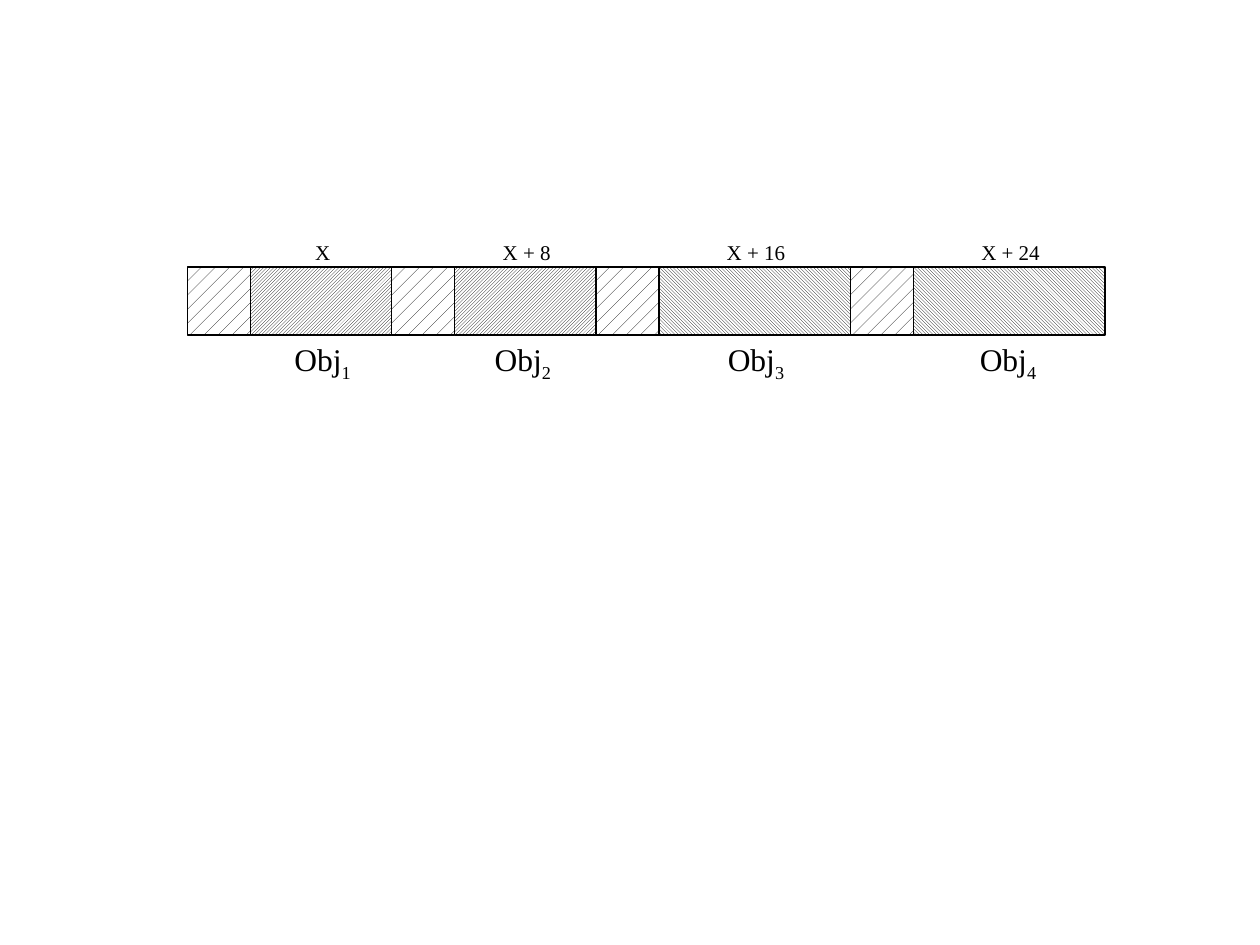
from pptx import Presentation
from pptx.dml.color import RGBColor
from pptx.enum.dml import MSO_PATTERN as PATTERN
from pptx.enum.shapes import MSO_SHAPE as SHAPE
from pptx.enum.text import MSO_AUTO_SIZE as AUTO, PP_ALIGN as ALIGN
from pptx.util import Inches, Pt

BLACK = RGBColor(0, 0, 0)
WHITE = RGBColor(255, 255, 255)
FONT = "Times New Roman"

LEFT, TOP, HEIGHT = 1.49, 2.12, 0.54
HEADER_W = 0.5
ADDRESS_TOP, NAME_TOP = 1.85, 2.65

# address, address box width, name centre, object width, object pattern
OBJECTS = [
    ("X", 0.32, 2.56, 1.12, PATTERN.LIGHT_UPWARD_DIAGONAL),
    ("X + 8", 0.59, 4.15, 1.12, PATTERN.LIGHT_UPWARD_DIAGONAL),
    ("X + 16", 0.67, 6.0, 1.52, PATTERN.LIGHT_DOWNWARD_DIAGONAL),
    ("X + 24", 0.67, 8.0, 1.52, PATTERN.LIGHT_DOWNWARD_DIAGONAL),
]

prs = Presentation()
prs.slide_width, prs.slide_height = Inches(10), Inches(7.5)
s = prs.slides.add_slide(prs.slide_layouts[6])


def add_block(x, w, pattern):
    """Draw one patterned memory block at x with width w."""
    sp = s.shapes.add_shape(SHAPE.RECTANGLE, Inches(x), Inches(TOP),
                            Inches(w), Inches(HEIGHT))
    sp.shadow.inherit = False
    sp.fill.patterned()
    for key, value in {"pattern": pattern}.items():
        setattr(sp.fill, key, value)
    sp.fill.fore_color.rgb = BLACK
    sp.fill.back_color.rgb = WHITE
    sp.line.color.rgb = BLACK
    sp.line.width = Pt(0.75)


def add_label(center, y, w, h, size, text, subscript=""):
    """Write a label centred on a point, with an optional subscript."""
    sp = s.shapes.add_textbox(Inches(center - w / 2), Inches(y),
                              Inches(w), Inches(h))
    tf = sp.text_frame
    tf.word_wrap = False
    tf.auto_size = AUTO.SHAPE_TO_FIT_TEXT
    p = tf.paragraphs[0]
    p.alignment = ALIGN.CENTER
    for part in filter(None, (text, subscript)):
        r = p.add_run()
        r.text = part
        for key, value in {"name": FONT, "size": Pt(size)}.items():
            setattr(r.font, key, value)
        r.font.color.rgb = BLACK
    if subscript:
        r.font._element.set("baseline", "-25000")


x = LEFT
for number, (address, address_w, name_center, w, pattern) in enumerate(OBJECTS, 1):
    add_block(x + HEADER_W, w, pattern)
    add_block(x, HEADER_W, PATTERN.PERCENT_10)
    add_label(x + HEADER_W + w / 2 + 0.01, ADDRESS_TOP, address_w, 0.3, 12, address)
    add_label(name_center, NAME_TOP, 0.66, 0.4, 18, "Obj", str(number))
    x += HEADER_W + w

prs.save("out.pptx")
